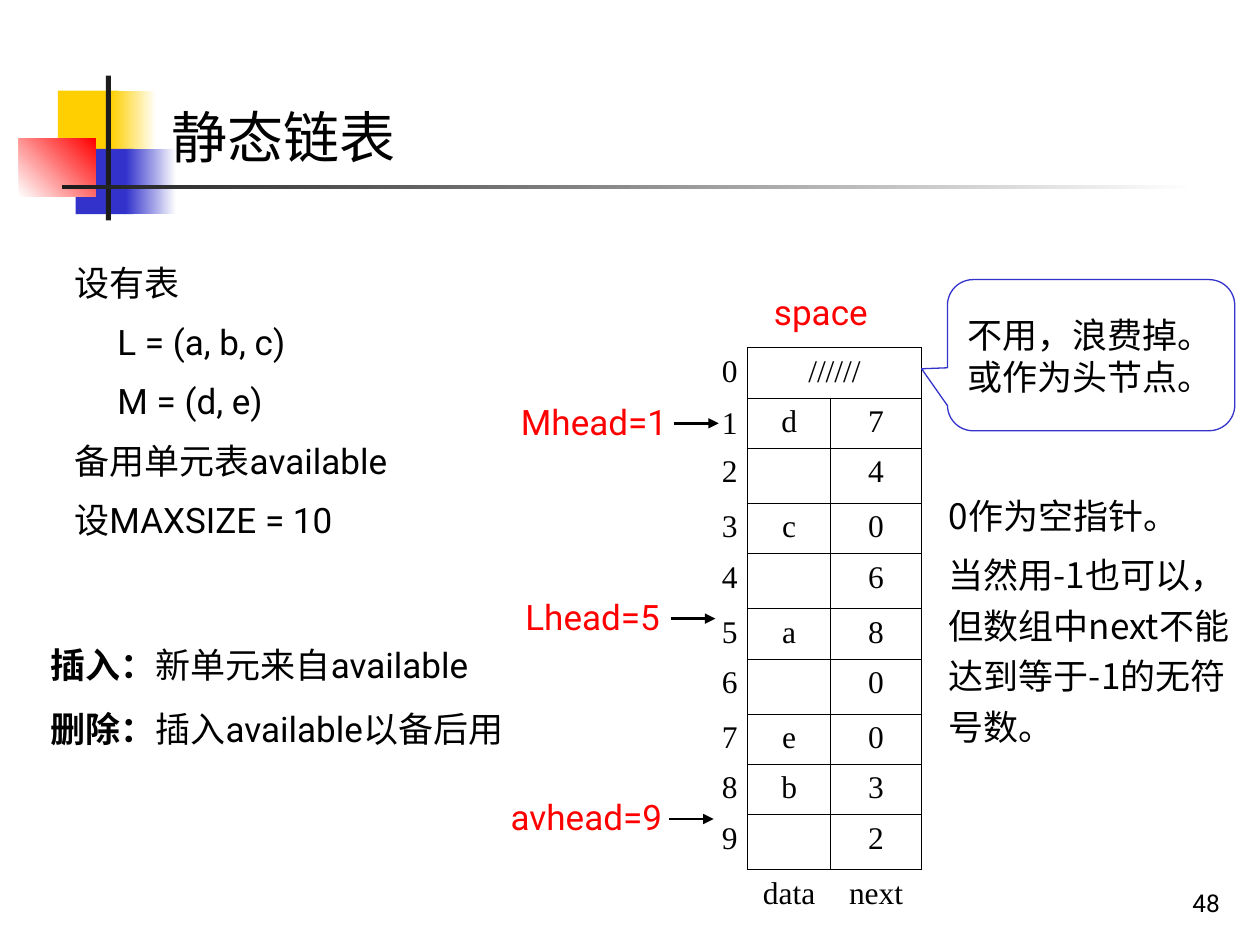
from typing import Any, NamedTuple, Optional

from lxml import etree
from pptx import Presentation
from pptx.dml.color import RGBColor
from pptx.enum import shapes, text
from pptx.oxml import ns
from pptx.util import Pt

BLACK = RGBColor(0x00, 0x00, 0x00)
WHITE = RGBColor(0xFF, 0xFF, 0xFF)
RED = RGBColor(0xFF, 0x00, 0x00)
YELLOW = RGBColor(0xFF, 0xCF, 0x01)
BLUE = RGBColor(0x33, 0x33, 0xCC)
CHARCOAL = RGBColor(0x1C, 0x1C, 0x1C)

ROBOTO, SERIF = "Roboto", "Times New Roman"
CJK, CJK_TITLE = "Noto Sans CJK SC", "Noto Sans CJK JP"
LEFT, CENTER, RIGHT = text.PP_ALIGN.LEFT, text.PP_ALIGN.CENTER, text.PP_ALIGN.RIGHT
TOP, MIDDLE, BOTTOM = text.MSO_ANCHOR.TOP, text.MSO_ANCHOR.MIDDLE, text.MSO_ANCHOR.BOTTOM


class Box(NamedTuple):
    left: float
    top: float
    width: float
    height: float

    def emu(self) -> list[int]:
        return [Pt(value) for value in self]


class Run(NamedTuple):
    words: str
    font: str = ROBOTO
    size: float = 20
    color: RGBColor = BLACK
    bold: bool = False


class Para(NamedTuple):
    runs: list[Run]
    indent: float = 0


class Block(NamedTuple):
    box: Box
    color: RGBColor
    fade_to: Optional[RGBColor] = None
    angle: float = 0


class Pointer(NamedTuple):
    label: str
    box: Box
    start: float
    y: float


def set_values(target: Any, values: dict[str, Any]) -> None:
    for name, value in values.items():
        setattr(target, name, value)


def child(parent: Any, tag: str, **attributes: str) -> Any:
    return etree.SubElement(parent, ns.qn(tag), attributes)


def write(frame: Any, paras: list[Para], right_inset: float = 7.2,
          anchor: Any = TOP, **para_format: Any) -> None:
    set_values(frame, dict(word_wrap=True, auto_size=text.MSO_AUTO_SIZE.NONE,
                           vertical_anchor=anchor, margin_left=Pt(7.2),
                           margin_right=Pt(right_inset),
                           margin_top=Pt(3.6), margin_bottom=Pt(3.6)))
    fill_paragraphs(frame, paras, **para_format)


def fill_paragraphs(frame: Any, paras: list[Para], **para_format: Any) -> None:
    for number, para in enumerate(paras):
        paragraph = frame.add_paragraph() if number else frame.paragraphs[0]
        set_values(paragraph, {"alignment": LEFT, "space_before": Pt(0), **para_format})
        properties = paragraph._p.get_or_add_pPr()
        properties.set("marL", str(Pt(para.indent)))
        properties.set("indent", "0")
        child(properties, "a:buNone")
        for part in para.runs:
            run = paragraph.add_run()
            run.text = part.words
            set_values(run.font, dict(name=part.font, size=Pt(part.size), bold=part.bold))
            run.font.color.rgb = part.color
            east_asian = CJK if part.font in (ROBOTO, SERIF) else part.font
            child(run._r.get_or_add_rPr(), "a:ea", typeface=east_asian)


def add_text(slide: Any, box: Box, paras: list[Para], **settings: Any) -> None:
    write(slide.shapes.add_textbox(*box.emu()).text_frame, paras, **settings)


def fill_placeholder(holder: Any, box: Box, paras: list[Para], **settings: Any) -> None:
    set_values(holder, dict(zip(("left", "top", "width", "height"), box.emu())))
    write(holder.text_frame, paras, **settings)


def add_block(slide: Any, block: Block) -> None:
    shape = slide.shapes.add_shape(shapes.MSO_SHAPE.RECTANGLE, *block.box.emu())
    shape.shadow.inherit = False
    shape.line.fill.background()
    if block.fade_to is None:
        shape.fill.solid()
        shape.fill.fore_color.rgb = block.color
        return
    shape.fill.gradient()
    shape.fill.gradient_angle = block.angle
    for stop, color in zip(shape.fill.gradient_stops, (block.color, block.fade_to)):
        stop.color.rgb = color


def add_pointer(slide: Any, pointer: Pointer) -> None:
    add_text(slide, pointer.box, [Para([Run(pointer.label, color=RED)])],
             anchor=BOTTOM, alignment=CENTER, space_before=Pt(12.5))
    arrow = slide.shapes.add_connector(
        shapes.MSO_CONNECTOR.STRAIGHT, Pt(pointer.start), Pt(pointer.y),
        Pt(pointer.start + 25.5), Pt(pointer.y))
    arrow.line.width = Pt(1.5)
    arrow.line.color.rgb = BLACK
    child(arrow.line._get_or_add_ln(), "a:tailEnd", type="triangle")
    child(arrow._element.spPr, "a:effectLst")


def set_borders(cell: Any, sides: str) -> None:
    properties = cell._tc.get_or_add_tcPr()
    for side in "LRTB":
        line = child(properties, f"a:ln{side}", w=str(Pt(0.75)))
        if side in sides:
            color = child(child(line, "a:solidFill"), "a:srgbClr", val=str(BLACK))
        else:
            child(line, "a:noFill")


def add_space_table(slide: Any, nodes: list[tuple[str, str]]) -> None:
    rows = [(str(index), *node) for index, node in enumerate(nodes)]
    rows.append(("", "data", "next"))
    table = slide.shapes.add_table(len(rows), 3, *Box(387.6, 198.7, 138.96, 316.8).emu()).table
    set_values(table, dict(first_row=False, horz_banding=False))
    for column, width in zip(table.columns, (39.6, 47.52, 51.84)):
        column.width = Pt(width)
    last = len(rows) - 1
    for r, row in enumerate(rows):
        # Rows with a free data cell are a little taller
        table.rows[r].height = Pt(28.8 if row[1] else 31.4)
        for c, words in enumerate(row):
            cell = table.cell(r, c)
            if r == last:
                set_borders(cell, "T" if c else "")
            else:
                set_borders(cell, "LRTB" if c else "R")
            cell.fill.background()
            set_values(cell, dict(margin_left=Pt(7.2), margin_right=Pt(7.2 if c else 5.76),
                                  margin_top=Pt(3.6), margin_bottom=Pt(3.6),
                                  vertical_anchor=MIDDLE if (r, c) == (1, 0) else TOP))
            if words:
                fill_paragraphs(cell.text_frame, [Para([Run(words, SERIF, 18)])],
                                alignment=CENTER if c else RIGHT, space_before=Pt(4.5))
    table.cell(0, 1).merge(table.cell(0, 2))
    table.cell(0, 1).fill.solid()
    table.cell(0, 1).fill.fore_color.rgb = WHITE


BLOCKS = [
    Block(Box(33.1, 51.8, 34.6, 37.4), YELLOW),
    Block(Box(63.4, 51.8, 25.9, 37.4), YELLOW, WHITE),
    Block(Box(43.2, 85, 33.1, 37.4), BLUE),
    Block(Box(72, 85, 28.8, 37.4), BLUE, WHITE),
    Block(Box(10.8, 79.2, 43.9, 33.1), WHITE, RED, 45),
    Block(Box(60.5, 43.2, 2.9, 82.8), CHARCOAL),
    Block(Box(35.3, 105.8, 648, 2.2), CHARCOAL, WHITE),
]
NODES = [("//////", ""), ("d", "7"), ("", "4"), ("c", "0"), ("", "6"),
         ("a", "8"), ("", "0"), ("e", "0"), ("b", "3"), ("", "2")]
POINTERS = [
    Pointer("Mhead=1", Box(290.2, 200.9, 98.6, 55.4), 385.2, 241.9),
    Pointer("Lhead=5", Box(289.4, 336.2, 98.6, 31.7), 383.3, 353.5),
    Pointer("avhead=9", Box(282.2, 450.7, 105.8, 31.7), 382.3, 468),
]


def main() -> None:
    deck = Presentation()
    set_values(deck, dict(slide_width=Pt(720), slide_height=Pt(540)))
    slide = deck.slides.add_slide(deck.slide_layouts[1])

    # Corner decoration, kept behind the placeholders
    title, body = slide.placeholders
    for block in BLOCKS:
        add_block(slide, block)
    for holder in (title, body):
        slide.shapes._spTree.append(holder._element)

    # Title and the given lists
    fill_placeholder(title, Box(90.7, 54.7, 629.3, 46.1),
                     [Para([Run("静态链表", CJK_TITLE, 32)])], anchor=MIDDLE)
    givens = [("设有表", 0), ("L = (a, b, c)", 24.6), ("M = (d, e)", 24.6),
              ("备用单元表available", 0), ("设MAXSIZE = 10", 0)]
    fill_placeholder(body, Box(35.3, 141.1, 253.4, 171.4),
                     [Para([Run(words)], indent) for words, indent in givens],
                     line_spacing=1.2, space_before=Pt(5))

    # Insert and delete rules
    add_text(slide, Box(21.6, 364.3, 295.9, 67.7), [
        Para([Run("插入：", bold=True), Run("新单元来自available")]),
        Para([Run("删除：", SERIF, bold=True), Run("插入", SERIF), Run("available以备后用")]),
    ], right_inset=0, space_before=Pt(12.5))

    # Storage array with its heads
    add_space_table(slide, NODES)
    add_text(slide, Box(414.7, 162, 108.7, 31.7), [Para([Run("space", color=RED)])],
             anchor=BOTTOM, alignment=CENTER, space_before=Pt(12.5))
    for pointer in POINTERS:
        add_pointer(slide, pointer)

    # Remarks on the null pointer and on cell 0
    remarks = ["0作为空指针。", "当然用-1也可以，但数组中next不能达到等于-1的无符号数。"]
    add_text(slide, Box(535, 274.3, 170.6, 156.2), [Para([Run(words, CJK)]) for words in remarks],
             right_inset=1.44, anchor=BOTTOM, line_spacing=1.2, space_before=Pt(5))
    callout = slide.shapes.add_shape(shapes.MSO_SHAPE.ROUNDED_RECTANGULAR_CALLOUT,
                                     *Box(541.4, 159.8, 164.2, 86.4).emu())
    callout.shadow.inherit = False
    for position, value in enumerate((-0.59, 0.09, 0.17)):
        callout.adjustments[position] = value
    callout.fill.solid()
    callout.fill.fore_color.rgb = WHITE
    callout.line.color.rgb = BLUE
    callout.line.width = Pt(0.75)
    write(callout.text_frame, [Para([Run(words, CJK)]) for words in
                               ("不用，浪费掉。", "或作为头节点。")], anchor=MIDDLE)

    # Slide number
    add_text(slide, Box(554.4, 491.8, 149.8, 36), [Para([Run("48", size=14)])],
             anchor=BOTTOM, alignment=RIGHT)
    deck.save("out.pptx")


if __name__ == "__main__":
    main()
